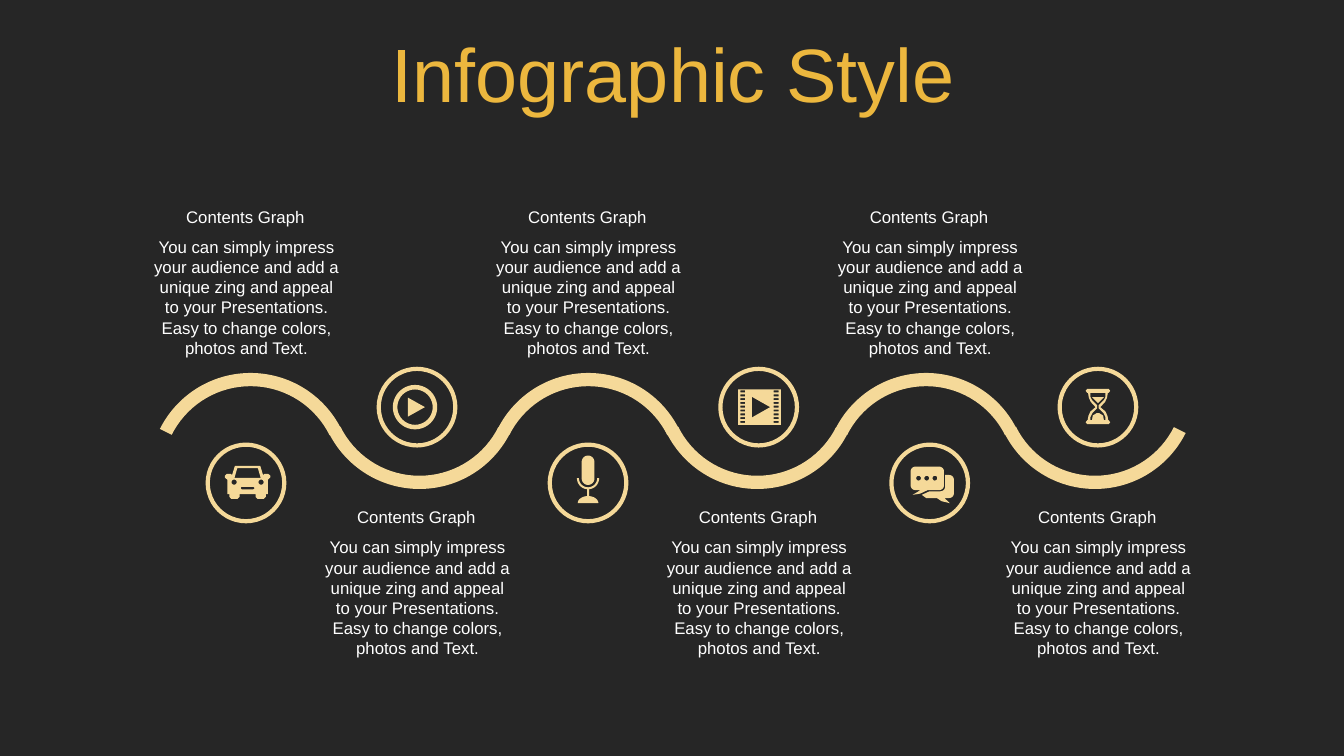
from dataclasses import dataclass
from math import cos, radians, sin

from pptx import Presentation
from pptx import util as u
from pptx.dml.color import RGBColor
from pptx.enum import shapes, text

GOLD, SAND, WHITE, CHARCOAL = "ECB73E", "F5D999", "FFFFFF", "262626"
HEADING = "Contents Graph"
BODY = ("You can simply impress your audience and add a unique zing and appeal "
        "to your Presentations. Easy to change colors, photos and Text.")

Contour = list[tuple[float, float]]


@dataclass
class Stop:
    """One stop on the wave; icon contours are in mm around the ring's centre."""
    x: float
    icon: list[Contour]
    nudge: float = 0


# Contour helpers
def arc(cx: float, cy: float, rx: float, ry: float, start: int, end: int) -> Contour:
    steps = max(8, abs(end - start) // 9)
    angles = [radians(start + (end - start) * i / steps) for i in range(steps + 1)]
    return [(cx + rx * cos(a), cy + ry * sin(a)) for a in angles]


def disc(cx: float, cy: float, r: float) -> Contour:
    return arc(cx, cy, r, r, 0, 360)


def box(left: float, top: float, right: float, bottom: float, r: float = 0) -> Contour:
    if not r:
        return [(left, top), (right, top), (right, bottom), (left, bottom)]
    corners = [(left + r, top + r, 180), (right - r, top + r, 270),
               (right - r, bottom - r, 0), (left + r, bottom - r, 90)]
    return [p for cx, cy, a in corners for p in arc(cx, cy, r, r, a, a + 90)]


def mirror(right_half: Contour) -> Contour:
    return right_half + [(-x, y) for x, y in reversed(right_half)]


# Icons
car = [
    mirror([(3.2, -4.3), (3.9, -2), (4.3, -2.3), (5.2, -2.3), (5.75, -1.8),
            (5.75, -1.4), (5.1, -0.8), (5.1, 2.8), (4.6, 2.8), (4.6, 3.5),
            (4.1, 4), (2.5, 4), (2, 3.5), (2, 2.8)]),
    mirror([(2.6, -3.7), (3.3, -1.3)]),
    disc(-3.4, -0.2, 0.65), disc(3.4, -0.2, 0.65),
    box(-1.7, 1, 1.7, 1.6, 0.3),
]
play = [disc(0, 0, 5.6), disc(0, 0, 4.45), [(-1.8, -2.4), (2.5, 0), (-1.8, 2.4)]]
microphone = [
    box(-1.6, -6.9, 1.6, 0.5, 1.6),
    arc(0, -1.2, 2.8, 2.8, 0, 180) + arc(0, -1.2, 2.3, 2.3, 180, 0),
    box(-0.25, 1.55, 0.25, 3.35),
    arc(0, 5.1, 2.6, 1.8, 180, 360),
]
film = [box(-5.4, -4.5, 5.4, 4.5), [(-1.9, -2.6), (2.7, 0), (-1.9, 2.6)]]
film += [box(left, -4.2 + 0.96 * row, left + 1.2, -3.7 + 0.96 * row)
         for row in range(9) for left in (-4.8, 3.6)]
chat = [
    box(-4.8, -4.1, 3.6, 1.8, 1.2),
    [(-0.5, 1.8), (-2.4, 2.7), (-4.3, 3), (-2.3, 1.8)],
    *[disc(x, -1.2, 0.6) for x in (-2.8, -0.75, 1.3)],
    [(3.9, -2), *arc(4.9, -0.8, 1.2, 1.2, -90, 0), *arc(4.9, 2.6, 1.2, 1.2, 0, 90),
     (3.7, 3.8), (5.1, 5.1), (3, 4.6), (1.8, 3.8), (-0.9, 3.8), (-2, 3),
     (0, 2.1), *arc(2.7, 0.9, 1.2, 1.2, 90, 0)],
]
hourglass = [
    mirror([(2.7, -4.6), (3.1, -4.1), (2.7, -3.6), (2.5, -3.6), (2.3, -2.4),
            (1.8, -1.3), (0.6, 0), (1.9, 1.1), (2.4, 2.2), (2.6, 3.3),
            (2.7, 3.3), (3.1, 3.8), (2.7, 4.3)]),
    mirror([(1.9, -3.6), (1.9, -2.6), (1.5, -1.8), (0.2, -0.5), (0.2, 0.3),
            (1.4, 1.5), (1.9, 2.5), (1.9, 3.3)]),
    mirror([(1.5, -2.5), (1.3, -2.3), (0, -1)]),
    mirror([(0.3, 1.5), (1.3, 2.1), (1.5, 3.3)]),
]

STOPS = [Stop(6.2, car, 0.4), Stop(10.51, play, -0.5), Stop(14.82, microphone),
         Stop(19.12, film, 0.2), Stop(23.43, chat), Stop(27.67, hourglass)]

prs = Presentation()
prs.slide_width, prs.slide_height = u.Cm(33.87), u.Cm(19.05)
slide = prs.slides.add_slide(prs.slide_layouts[6])


def colour(hex_value: str) -> RGBColor:
    return RGBColor.from_string(hex_value)


def paint(shape, fill: str | None = None, line: str | None = None) -> None:
    shape.shadow.inherit = False
    if fill:
        shape.fill.solid()
        shape.fill.fore_color.rgb = colour(fill)
    else:
        shape.fill.background()
    if line:
        shape.line.color.rgb = colour(line)
        shape.line.width = u.Pt(3)
    else:
        shape.line.fill.background()


def add_words(words: str, left: float, top: float, width: float, height: float,
              size: int, hex_value: str):
    frame = slide.shapes.add_textbox(
        u.Cm(left), u.Cm(top), u.Cm(width), u.Cm(height)).text_frame
    frame.word_wrap = True
    frame.text = words
    paragraph = frame.paragraphs[0]
    paragraph.alignment = text.PP_ALIGN.CENTER
    font = paragraph.runs[0].font
    font.name, font.size = "Arial", u.Pt(size)
    font.color.rgb = colour(hex_value)
    return frame


def add_icon(icon: list[Contour], x: float, y: float) -> None:
    contours = [[(px * 100, py * 100) for px, py in contour] for contour in icon]
    builder = slide.shapes.build_freeform(*contours[0][0], scale=u.Cm(0.001))
    builder.add_line_segments(contours[0][1:])
    for contour in contours[1:]:
        builder.move_to(*contour[0])
        builder.add_line_segments(contour[1:])
    paint(builder.convert_to_shape(u.Cm(x), u.Cm(y)), fill=SAND)


def add_wave_arc(index: int) -> None:
    crest = index % 2 == 0
    wave_arc = slide.shapes.add_shape(
        shapes.MSO_SHAPE.BLOCK_ARC, u.Cm(3.76 + 4.256 * index),
        u.Cm(9.4 if crest else 7.21), u.Cm(5.11), u.Cm(5.11))
    for number, value in enumerate((123.991, 200.211, 0.065)):
        wave_arc.adjustments[number] = value
    wave_arc.rotation = 0 if crest else 180
    paint(wave_arc, fill=SAND)


def add_stop(index: int, stop: Stop) -> None:
    crest = index % 2 == 0
    text_top = 5.08 if crest else 12.65
    ring_y = 12.17 if crest else 10.26
    add_words(HEADING, stop.x - 2.62, text_top, 5.21, 0.76, 12, WHITE)
    add_words(BODY, stop.x - 2.59, text_top + 0.76, 5.21, 3.33, 12, WHITE)
    ring = slide.shapes.add_shape(
        shapes.MSO_SHAPE.OVAL, u.Cm(stop.x - 0.965), u.Cm(ring_y - 0.965),
        u.Cm(1.93), u.Cm(1.93))
    paint(ring, line=SAND)
    add_icon(stop.icon, stop.x + stop.nudge / 10, ring_y)


# Background and title
slide.background.fill.solid()
slide.background.fill.fore_color.rgb = colour(CHARCOAL)
title = add_words("Infographic Style", 0.89, 0.79, 32.16, 2.34, 54, GOLD)
title.vertical_anchor = text.MSO_ANCHOR.MIDDLE
title.paragraphs[0].line_spacing = 0.9

# Wave with its six stops
for position, wave_stop in enumerate(STOPS):
    add_wave_arc(position)
    add_stop(position, wave_stop)

prs.save("out.pptx")
